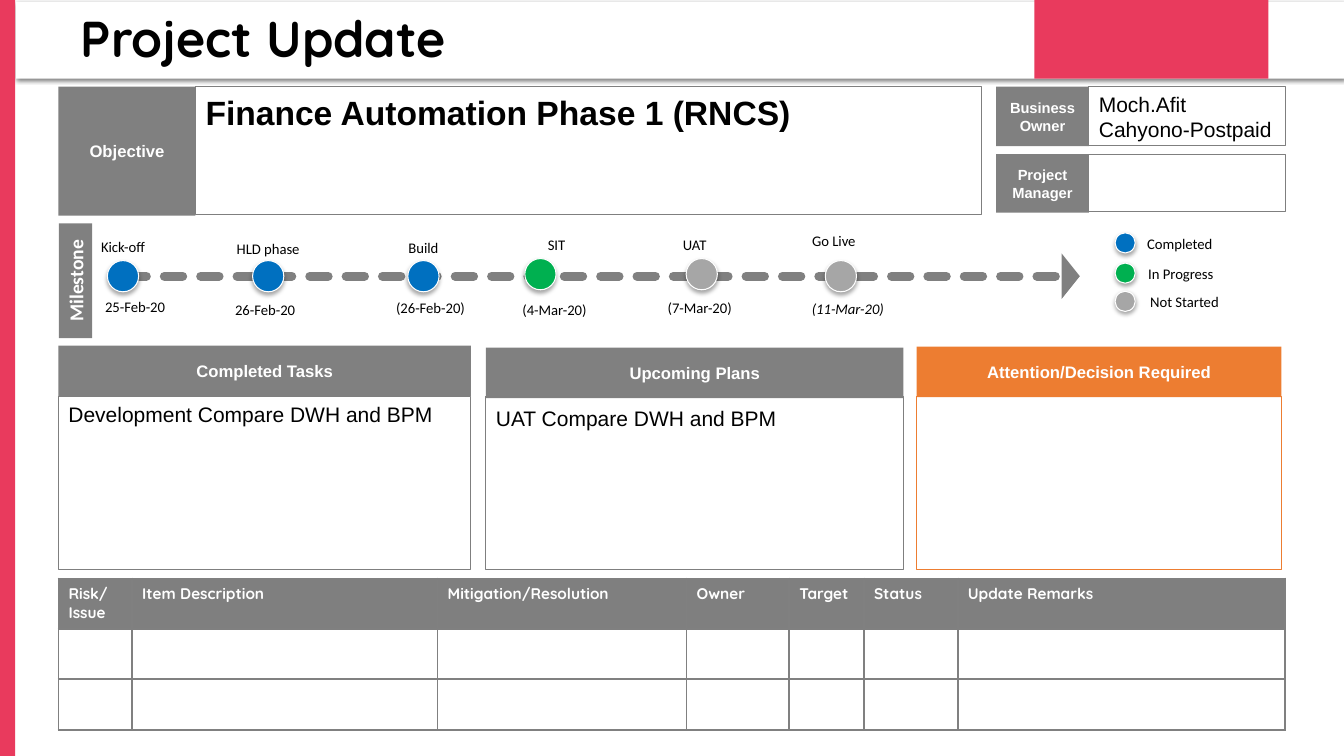
"""Build a one-page project update with milestones, task panels and a risk table."""
from lxml.etree import SubElement
from pptx import Presentation
from pptx.dml.color import RGBColor
from pptx.enum.dml import MSO_LINE
from pptx.enum.shapes import MSO_CONNECTOR, MSO_SHAPE
from pptx.enum.text import MSO_ANCHOR, PP_ALIGN
from pptx.oxml.ns import qn
from pptx.util import Inches, Pt

COLORS = {
    "white": "FFFFFF", "black": "000000", "pink": "E93A5D", "gray": "808080",
    "border": "7F7F7F", "orange": "ED7D31", "Completed": "0070C0",
    "In Progress": "00B050", "Not Started": "A6A6A6",
}
LEFT, RIGHT = 0.58, 12.75
PANEL_TOP, PANEL_HEIGHT, HEADING = 3.93, 1.72, 0.5
AXIS, DOT, LEGEND_DOT = 2.74, 0.31, 0.2
LABEL_WIDTH, LABEL_HEIGHT = 1.4, 0.27

deck = Presentation()
deck.slide_width, deck.slide_height = Inches(13.33), Inches(7.5)
slide = deck.slides.add_slide(deck.slide_layouts[5])
shapes = slide.shapes


def block(left, top, width, height, fill=None, line=None, shadow=None, kind=MSO_SHAPE.RECTANGLE):
    """Add a shape; shadow is (opacity, blur, distance) in percent and points."""
    shape = shapes.add_shape(kind, *map(Inches, (left, top, width, height)))
    shape.shadow.inherit = False
    if fill:
        shape.fill.solid()
        shape.fill.fore_color.rgb = RGBColor.from_string(COLORS[fill])
    else:
        shape.fill.background()
    if line:
        shape.line.color.rgb = RGBColor.from_string(COLORS[line])
        shape.line.width = Pt(0.75)
    else:
        shape.line.fill.background()
    if shadow:
        opacity, blur, distance = shadow
        effects = shape._element.spPr.find(qn("a:effectLst"))
        outer = SubElement(effects, qn("a:outerShdw"), blurRad=str(Pt(blur)),
                           dist=str(Pt(distance)), dir="5400000", algn="t", rotWithShape="0")
        tint = SubElement(outer, qn("a:srgbClr"), val=COLORS["black"])
        SubElement(tint, qn("a:alpha"), val=str(opacity * 1000))
    return shape


def write(holder, text, size, font="Arial", color="white", bold=False, italic=False,
          align=PP_ALIGN.CENTER, anchor=MSO_ANCHOR.MIDDLE):
    """Fill a shape, text box or cell with one formatted paragraph."""
    frame = holder.text_frame
    frame.word_wrap = True
    frame.vertical_anchor = anchor
    paragraph = frame.paragraphs[0]
    paragraph.text = text
    paragraph.alignment = align
    paragraph.font.size, paragraph.font.name = Pt(size), font
    paragraph.font.bold, paragraph.font.italic = bold, italic
    paragraph.font.color.rgb = RGBColor.from_string(COLORS[color])


body = {"color": "black", "align": PP_ALIGN.LEFT, "anchor": MSO_ANCHOR.TOP}

block(0.16, 0.02, 13.18, 0.76, "white", shadow=(50, 3, 1))
block(0, 0, 0.15, 7.5, "pink")
block(10.26, 0, 2.32, 0.78, "pink")

title = shapes.title
title.left, title.top, title.width, title.height = map(Inches, (0.7, 0.05, 9.44, 0.72))
write(title, "Project Update", 36, "Quicksand", "black", bold=True, align=PP_ALIGN.LEFT)
title.text_frame.paragraphs[0].line_spacing = 0.9
shapes._spTree.append(title._element)

for heading, text, left, top, split, right, height, heading_size, size, bold in [
    ("Objective", "Finance Automation Phase 1 (RNCS)", LEFT, 0.86, 1.94, 9.74, 1.27, 11.9, 24, True),
    ("Business Owner", "Moch.Afit Cahyono-Postpaid", 9.88, 0.86, 10.8, RIGHT, 0.58, 10.5, 15, False),
    ("Project Manager", "", 9.88, 1.53, 10.8, RIGHT, 0.57, 10.5, 15, False),
]:
    write(block(left, top, split - left, height + 0.01, "gray"), heading, heading_size, bold=True)
    field = block(split, top, right - split, height, line="border")
    if text:
        write(field, text, size, bold=bold, **body)

for heading, text, left, width, top, text_top, fill, line in [
    ("Completed Tasks", "Development Compare DWH and BPM", LEFT, 4.09, 3.43, 3.93, "gray", "border"),
    ("Upcoming Plans", "UAT Compare DWH and BPM", 4.82, 4.14, 3.45, 3.97, "gray", "border"),
    ("Attention/Decision Required", "", 9.09, 3.62, 3.44, 3.93, "orange", "orange"),
]:
    write(block(left, top, width, HEADING, fill), heading, 11.9, bold=True)
    panel = block(left, PANEL_TOP, width, PANEL_HEIGHT, line=line)
    if text:
        write(panel, text, 15, **body)
        panel.text_frame.margin_top = Inches(0.05 + text_top - PANEL_TOP)

milestone = block(0.18, 2.62, 1.14, 0.33, "gray")
milestone.rotation = 270
write(milestone, "Milestone", 14, "Calibri", bold=True)

timeline = shapes.add_connector(MSO_CONNECTOR.STRAIGHT, *map(Inches, (1.27, AXIS, 10.71, AXIS)))
timeline.line.color.rgb = RGBColor.from_string(COLORS["gray"])
timeline.line.width = Pt(6.5)
timeline.line.dash_style = MSO_LINE.SQUARE_DOT
stroke = timeline.line._get_or_add_ln()
stroke.set("cap", "rnd")
stroke.find(qn("a:prstDash")).set("val", "sysDash")
SubElement(stroke, qn("a:tailEnd"), type="triangle", w="lg", len="sm")
SubElement(timeline._element.spPr, qn("a:effectLst"))

dot_style = {"line": "white", "shadow": (35, 3.1, 1.8), "kind": MSO_SHAPE.OVAL}
for name, date, status, dot, drop, name_center, name_top, date_center, date_top in [
    ("Kick-off", "25-Feb-20", "Completed", 1.22, 0, 1.22, 2.31, 1.34, 2.91),
    ("HLD phase", "26-Feb-20", "Completed", 2.66, 0, 2.66, 2.33, 2.63, 2.94),
    ("Build", "(26-Feb-20)", "Completed", 4.2, 0, 4.2, 2.32, 4.27, 2.92),
    ("SIT", "(4-Mar-20)", "In Progress", 5.36, -0.02, 5.52, 2.29, 5.5, 2.94),
    ("UAT", "(7-Mar-20)", "Not Started", 6.96, -0.02, 6.89, 2.29, 6.94, 2.92),
    ("Go Live", "(11-Mar-20)", "Not Started", 8.34, 0, 8.27, 2.25, 8.41, 2.93),
]:
    block(dot - DOT / 2, AXIS + drop - DOT / 2, DOT, DOT, status, **dot_style)
    for text, center, top in [(name, name_center, name_top), (date, date_center, date_top)]:
        label = shapes.add_textbox(Inches(center - LABEL_WIDTH / 2), Inches(top),
                                   Inches(LABEL_WIDTH), Inches(LABEL_HEIGHT))
        write(label, text, 10.5, "Calibri", "black", italic=text == "(11-Mar-20)",
              anchor=MSO_ANCHOR.TOP)

for status, top, left in [("Completed", 2.31, 11.28), ("In Progress", 2.61, 11.29),
                          ("Not Started", 2.89, 11.31)]:
    block(11.06, top, LEGEND_DOT, LEGEND_DOT, status, **dot_style)
    label = shapes.add_textbox(Inches(left), Inches(top - 0.03), Inches(1), Inches(LABEL_HEIGHT))
    write(label, status, 10.5, "Calibri", **body)

columns = [("Risk/ Issue", 0.73), ("Item Description", 3.03), ("Mitigation/Resolution", 2.47),
           ("Owner", 1.02), ("Target", 0.74), ("Status", 0.93), ("Update Remarks", 3.25)]
risks = shapes.add_table(3, len(columns), Inches(LEFT), Inches(5.74),
                         Inches(RIGHT - LEFT), Inches(1.5)).table
for column, (heading, width) in enumerate(columns):
    risks.columns[column].width = Inches(width)
    write(risks.cell(0, column), heading, 11, "Quicksand", bold=True, align=PP_ALIGN.LEFT,
          anchor=MSO_ANCHOR.TOP)
    for row in range(3):
        cell = risks.cell(row, column)
        properties = cell._tc.get_or_add_tcPr()
        for side in ("a:lnL", "a:lnR", "a:lnT", "a:lnB"):
            edge = SubElement(properties, qn(side), w=str(Pt(1.5)))
            SubElement(SubElement(edge, qn("a:solidFill")), qn("a:srgbClr"), val=COLORS["gray"])
        cell.fill.solid()
        cell.fill.fore_color.rgb = RGBColor.from_string(COLORS["white" if row else "border"])

deck.save("out.pptx")
